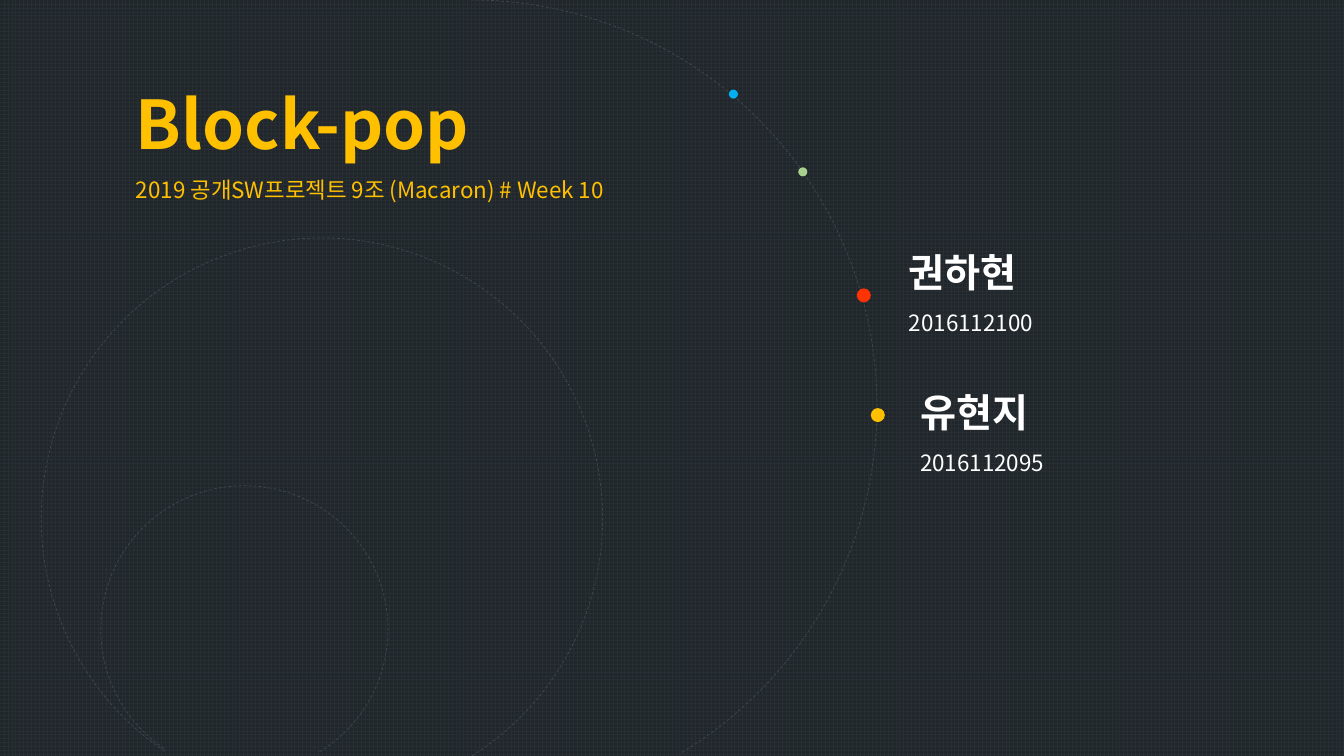
from lxml.etree import SubElement
from pptx import Presentation
from pptx.dml.color import RGBColor
from pptx.enum.dml import MSO_LINE, MSO_PATTERN
from pptx.enum.shapes import MSO_SHAPE as Preset
from pptx.enum.text import MSO_AUTO_SIZE as AutoSize
from pptx.oxml.ns import qn
from pptx.util import Pt

FONT = "Noto Sans CJK KR"
GRID = RGBColor(0x28, 0x2F, 0x34)
NIGHT = RGBColor(0x21, 0x26, 0x2A)
ORBIT = RGBColor(0x3E, 0x48, 0x50)
GOLD = RGBColor(0xFF, 0xC0, 0x00)
RED = RGBColor(0xFF, 0x33, 0x00)
GREEN = RGBColor(0xA9, 0xD1, 0x8E)
BLUE = RGBColor(0x00, 0xB0, 0xF0)
WHITE = RGBColor(0xFF, 0xFF, 0xFF)

ARC_END = 35.319
# left, top, diameter, start angle
ORBITS = [
    (29.5, 170, 401, 74.441),
    (46.8, 0, 579.6, 162),
    (72, 347, 205.2, 74.441),
]
DOTS = [
    (622, 291.5, 10, GOLD),
    (612, 206, 10, RED),
    (570.2, 119.5, 6.5, GREEN),
    (520.6, 64, 6.5, BLUE),
]
HEADINGS = [
    ((90, 55.4, 387.4, 94.3), GOLD, "Block-pop", 48, None,
     "2019 공개SW프로젝트 9조 (Macaron) # Week 10"),
    ((642.2, 157, 229.7, 87.1), WHITE, "권하현", 28, 1.5, "2016112100"),
    ((650.2, 257, 213.1, 83.5), WHITE, "유현지", 28, 1.5, "2016112095"),
]


def add_round(slide, preset, left, top, diameter):
    shape = slide.shapes.add_shape(preset, Pt(left), Pt(top), Pt(diameter), Pt(diameter))
    shape.shadow.inherit = False
    return shape


def add_orbit(slide, left, top, diameter, start):
    arc = add_round(slide, Preset.ARC, left, top, diameter)
    arc.adjustments[0] = start
    arc.adjustments[1] = ARC_END
    arc.fill.background()
    arc.line.color.rgb = ORBIT
    arc.line.width = Pt(0.5)
    arc.line.dash_style = MSO_LINE.DASH


def add_dot(slide, left, top, diameter, color):
    dot = add_round(slide, Preset.OVAL, left, top, diameter)
    dot.fill.solid()
    dot.fill.fore_color.rgb = color
    dot.line.fill.background()


def write_line(paragraph, text, size, bold, color, spacing):
    if spacing:
        paragraph.line_spacing = spacing
    run = paragraph.add_run()
    run.text = text
    run.font.size = Pt(size)
    run.font.bold = bold
    run.font.color.rgb = color
    run.font.name = FONT
    SubElement(run.font._element, qn("a:ea"), typeface=FONT)


def add_heading(slide, box, color, title, size, spacing, detail):
    frame = slide.shapes.add_textbox(*map(Pt, box)).text_frame
    frame.word_wrap = True
    frame.auto_size = AutoSize.SHAPE_TO_FIT_TEXT
    write_line(frame.paragraphs[0], title, size, True, color, spacing)
    write_line(frame.add_paragraph(), detail, 16, False, color, 1.5)


def main():
    presentation = Presentation()
    presentation.slide_width = Pt(960)
    presentation.slide_height = Pt(540)
    slide = presentation.slides.add_slide(presentation.slide_layouts[6])
    backdrop = slide.background.fill
    backdrop.patterned()
    backdrop.pattern = MSO_PATTERN.LARGE_GRID
    backdrop.fore_color.rgb = GRID
    backdrop.back_color.rgb = NIGHT
    for orbit in ORBITS:
        add_orbit(slide, *orbit)
    for dot in DOTS:
        add_dot(slide, *dot)
    for heading in HEADINGS:
        add_heading(slide, *heading)
    presentation.save("out.pptx")


if __name__ == "__main__":
    main()
